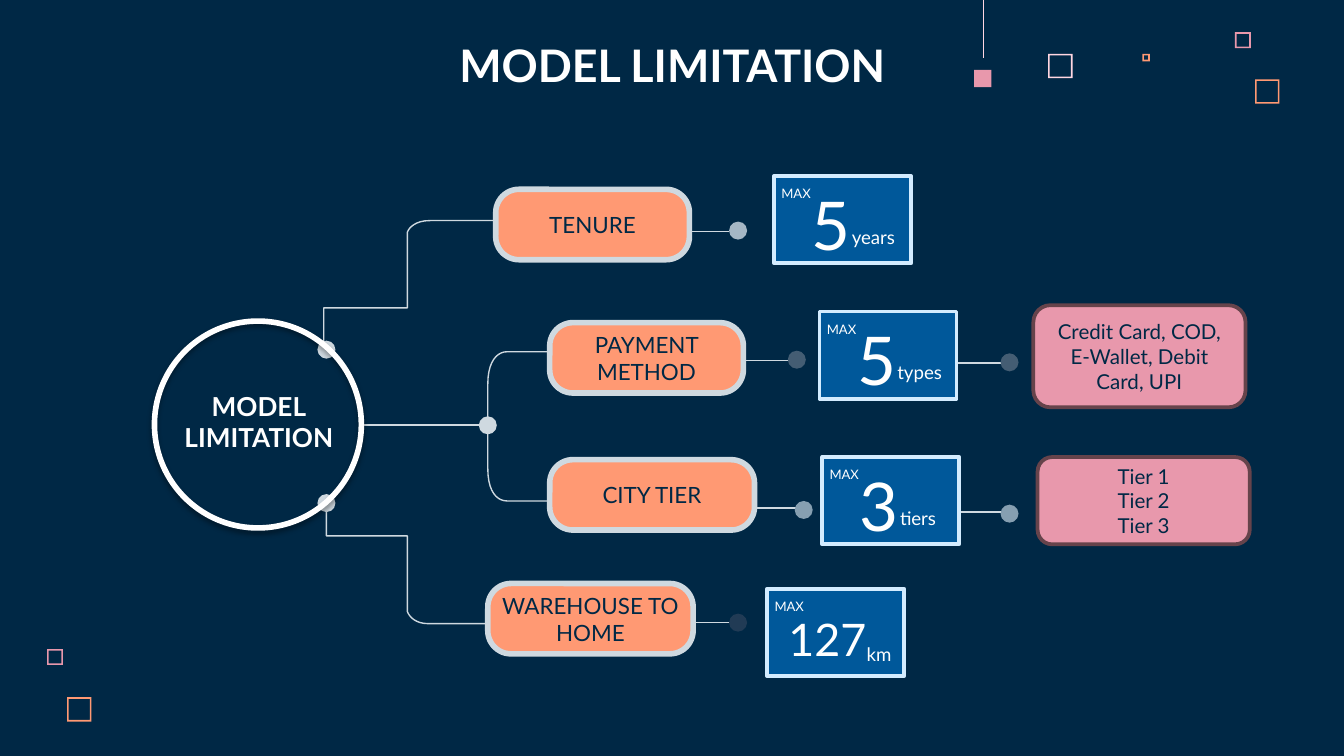
from dataclasses import dataclass

from lxml import etree
from pptx import Presentation
from pptx.dml.color import RGBColor
from pptx.enum.shapes import MSO_CONNECTOR, MSO_SHAPE
from pptx.enum.text import MSO_ANCHOR, MSO_AUTO_SIZE, PP_ALIGN
from pptx.oxml import parse_xml
from pptx.oxml.ns import nsdecls, qn
from pptx.util import Cm, Pt

RECTANGLE, ROUNDED, OVAL = MSO_SHAPE.RECTANGLE, MSO_SHAPE.ROUNDED_RECTANGLE, MSO_SHAPE.OVAL
FRAME = MSO_SHAPE.FRAME
STRAIGHT = MSO_CONNECTOR.STRAIGHT
TOP, MIDDLE, BOTTOM = MSO_ANCHOR.TOP, MSO_ANCHOR.MIDDLE, MSO_ANCHOR.BOTTOM
LEFT, CENTER = PP_ALIGN.LEFT, PP_ALIGN.CENTER
NO_FIT = MSO_AUTO_SIZE.NONE

FONT = "Lato"
FRAME_THICKNESS = 0.03
COLORS = {
    "navy": "002845", "white": "FFFFFF", "orange": "FF9973", "pink": "E898AC",
    "blush": "FFD6E1", "mist": "CFD9E0", "plum": "66434B", "blue": "00589A",
    "sky": "D3ECFF", "silver": "A5B7C5", "steel": "869FB1", "slate": "445D73",
    "ink": "213B55",
}


@dataclass(frozen=True)
class Box:
    left: float
    top: float
    width: float
    height: float

    def lengths(self) -> tuple:
        return Cm(self.left), Cm(self.top), Cm(self.width), Cm(self.height)


@dataclass(frozen=True)
class Topic:
    text: str
    left: float
    top: float
    width: float


@dataclass(frozen=True)
class Card:
    left: float
    top: float
    value: str
    unit: str
    size: int = 36
    value_offset: tuple = (0.46, 0)
    unit_offset: tuple = (1.22, 0.81)


@dataclass(frozen=True)
class Dot:
    x: float
    y: float
    color: str


@dataclass(frozen=True)
class Square:
    left: float
    top: float
    size: float
    color: str


@dataclass(frozen=True)
class Curve:
    first: tuple
    second: tuple
    end: tuple

    def points(self, start: tuple, steps: int = 10) -> list:
        anchors = (start, self.first, self.second, self.end)
        result = []
        for step in range(1, steps + 1):
            t = step / steps
            weights = ((1 - t) ** 3, 3 * t * (1 - t) ** 2, 3 * t * t * (1 - t), t ** 3)
            result.append(tuple(sum(w * a[axis] for w, a in zip(weights, anchors))
                                for axis in (0, 1)))
        return result


SQUARES = [
    Square(19.81, 1.02, 0.46, "blush"), Square(23.34, 0.61, 0.3, "pink"),
    Square(21.59, 1.02, 0.14, "orange"), Square(23.72, 1.5, 0.46, "orange"),
    Square(0.89, 12.27, 0.3, "pink"), Square(1.27, 13.18, 0.46, "orange"),
]
LINKS = [
    (6.86, 9.25, 8.03), (13.03, 13.77, 4.37), (14.05, 14.99, 6.81), (14.25, 15.19, 9.6),
    (13.13, 14.05, 11.77), (18.06, 19, 6.86), (18.11, 19.05, 9.68),
]
BRANCHES = [
    [(9.37, 4.17), (8.13, 4.17), Curve((7.77, 4.17), (7.7, 4.39), (7.7, 4.39)),
     (7.7, 5.82), (6.12, 5.82), (6.12, 6.58)],
    [(10.39, 9.47), (9.58, 9.47), Curve((9.4, 9.47), (9.22, 9.3), (9.22, 8.86)),
     (9.22, 7.26), Curve((9.22, 6.83), (9.4, 6.65), (9.58, 6.65)), (10.39, 6.65)],
    [(9.22, 11.79), (8.1, 11.79), Curve((7.77, 11.79), (7.7, 11.56), (7.7, 11.56)),
     (7.7, 10.13), (6.17, 10.13), (6.17, 9.47)],
]
TOPICS = [
    Topic("TENURE", 9.37, 3.58, 3.66), Topic("PAYMENT METHOD", 10.39, 6.1, 3.66),
    Topic("CITY TIER", 10.39, 8.69, 3.87), Topic("WAREHOUSE TO HOME", 9.22, 11.03, 3.88),
]
DOTS = [
    Dot(6.17, 6.61, "mist"), Dot(6.17, 9.51, "mist"), Dot(9.22, 8.04, "mist"),
    Dot(13.95, 4.36, "silver"), Dot(15.06, 6.8, "slate"), Dot(15.19, 9.64, "steel"),
    Dot(13.95, 11.77, "ink"), Dot(19.08, 6.85, "slate"), Dot(19.08, 9.71, "steel"),
]
CARDS = [
    Card(14.63, 3.33, "5", "years"), Card(15.49, 5.89, "5", "types"),
    Card(15.54, 8.64, "3", "tiers"),
    Card(14.5, 11.13, "127", "km", 24, (0.15, 0.3), (1.63, 0.89)),
]
NOTES = [
    (Box(19.53, 5.77, 4.01, 1.93), "Credit Card, COD, E-Wallet, Debit Card, UPI"),
    (Box(19.61, 8.64, 4.01, 1.65), "Tier 1\nTier 2\nTier 3"),
]


def color(name: str) -> RGBColor:
    return RGBColor.from_string(COLORS[name])


def style_line(shape, name: str, width: float) -> None:
    shape.line.color.rgb = color(name)
    shape.line.width = Pt(width)


def write(shape, text: str, size: int, name: str = "white", bold: bool = False,
          align=CENTER, anchor=MIDDLE, side: float = 0.25) -> None:
    frame = shape.text_frame
    frame.text = text
    frame.word_wrap = True
    frame.auto_size = NO_FIT
    frame.vertical_anchor = anchor
    frame.margin_left = frame.margin_right = Cm(side)
    frame.margin_top = frame.margin_bottom = Cm(0.13)
    for paragraph in frame.paragraphs:
        paragraph.alignment = align
        font = paragraph.font
        font.name, font.size, font.bold = FONT, Pt(size), bold
        font.color.rgb = color(name)


def add_shape(slide, kind, box: Box, fill: str = "", line: str = "", width: float = 0):
    shape = slide.shapes.add_shape(kind, *box.lengths())
    shape.shadow.inherit = False
    if fill:
        shape.fill.solid()
        shape.fill.fore_color.rgb = color(fill)
    else:
        shape.fill.background()
    if line:
        style_line(shape, line, width)
    else:
        shape.line.fill.background()
    return shape


def add_text(slide, box: Box, text: str, size: int, **options) -> None:
    write(slide.shapes.add_textbox(*box.lengths()), text, size, **options)


def add_line(slide, start: tuple, end: tuple, name: str, width: float) -> None:
    connector = slide.shapes.add_connector(STRAIGHT, *map(Cm, start + end))
    style_line(connector, name, width)
    etree.SubElement(connector._element.spPr, qn("a:effectLst"))


def add_branch(slide, segments: list) -> None:
    points = [segments[0]]
    for segment in segments[1:]:
        points += segment.points(points[-1]) if isinstance(segment, Curve) else [segment]
    corners = [(Cm(x), Cm(y)) for x, y in points]
    builder = slide.shapes.build_freeform(*corners[0])
    builder.add_line_segments(corners[1:], close=False)
    shape = builder.convert_to_shape()
    shape.shadow.inherit = False
    shape.fill.background()
    style_line(shape, "mist", 0.75)


def add_card(slide, card: Card) -> None:
    def place(offset: tuple, width: float, height: float) -> Box:
        return Box(card.left + offset[0], card.top + offset[1], width, height)

    add_shape(slide, RECTANGLE, place((0, 0), 2.59, 1.65), "blue", "sky", 2)
    for text, size, box in (
        (card.value, card.size, place(card.value_offset, 2.67, 1.8)),
        (card.unit, 10, place(card.unit_offset, 2.46, 0.69)),
        ("MAX", 7, place((-0.11, 0.05), 1.96, 0.56)),
    ):
        add_text(slide, box, text, size, align=LEFT, anchor=TOP)


def add_hub(slide) -> None:
    circle = add_shape(slide, OVAL, Box(2.92, 6.07, 3.91, 3.91), line="white", width=3)
    circle._element.spPr.find(qn("a:effectLst")).append(parse_xml(
        f'<a:outerShdw {nsdecls("a")} blurRad="39370" dist="20320" dir="5400000">'
        '<a:srgbClr val="000000"><a:alpha val="38000"/></a:srgbClr></a:outerShdw>'))
    add_text(slide, Box(3.18, 7.24, 3.43, 1.45), "MODEL\vLIMITATION", 14, bold=True)


def main() -> None:
    presentation = Presentation()
    presentation.slide_width, presentation.slide_height = Cm(25.4), Cm(14.29)
    slide = presentation.slides.add_slide(presentation.slide_layouts[5])
    slide.background.fill.solid()
    slide.background.fill.fore_color.rgb = color("navy")

    title = slide.shapes.title
    title.left, title.top, title.width, title.height = Box(6.8, 0.65, 11.81, 1.32).lengths()
    write(title, "MODEL LIMITATION", 24, bold=True, anchor=BOTTOM)
    title.text_frame.margin_bottom = Cm(0.25)

    for square in SQUARES:
        box = Box(square.left, square.top, square.size, square.size)
        shape = add_shape(slide, FRAME, box, square.color)
        shape.adjustments[0] = FRAME_THICKNESS / square.size
    add_shape(slide, RECTANGLE, Box(18.41, 1.32, 0.33, 0.33), "pink")
    add_line(slide, (18.59, 0), (18.59, 1.09), "blush", 0.5)

    for start, end, y in LINKS:
        add_line(slide, (start, y), (end, y), "mist", 0.75)
    for branch in BRANCHES:
        add_branch(slide, branch)
    for topic in TOPICS:
        box = Box(topic.left, topic.top, topic.width, 1.33)
        shape = add_shape(slide, ROUNDED, box, "orange", "mist", 3)
        shape.adjustments[0] = 0.33
        write(shape, topic.text, 12, "navy", side=0.1)
    for dot in DOTS:
        add_shape(slide, OVAL, Box(dot.x - 0.17, dot.y - 0.17, 0.34, 0.34), dot.color)
    add_hub(slide)
    for card in CARDS:
        add_card(slide, card)
    for box, text in NOTES:
        write(add_shape(slide, ROUNDED, box, "pink", "plum", 2), text, 11, "navy")

    presentation.save("out.pptx")


if __name__ == "__main__":
    main()
